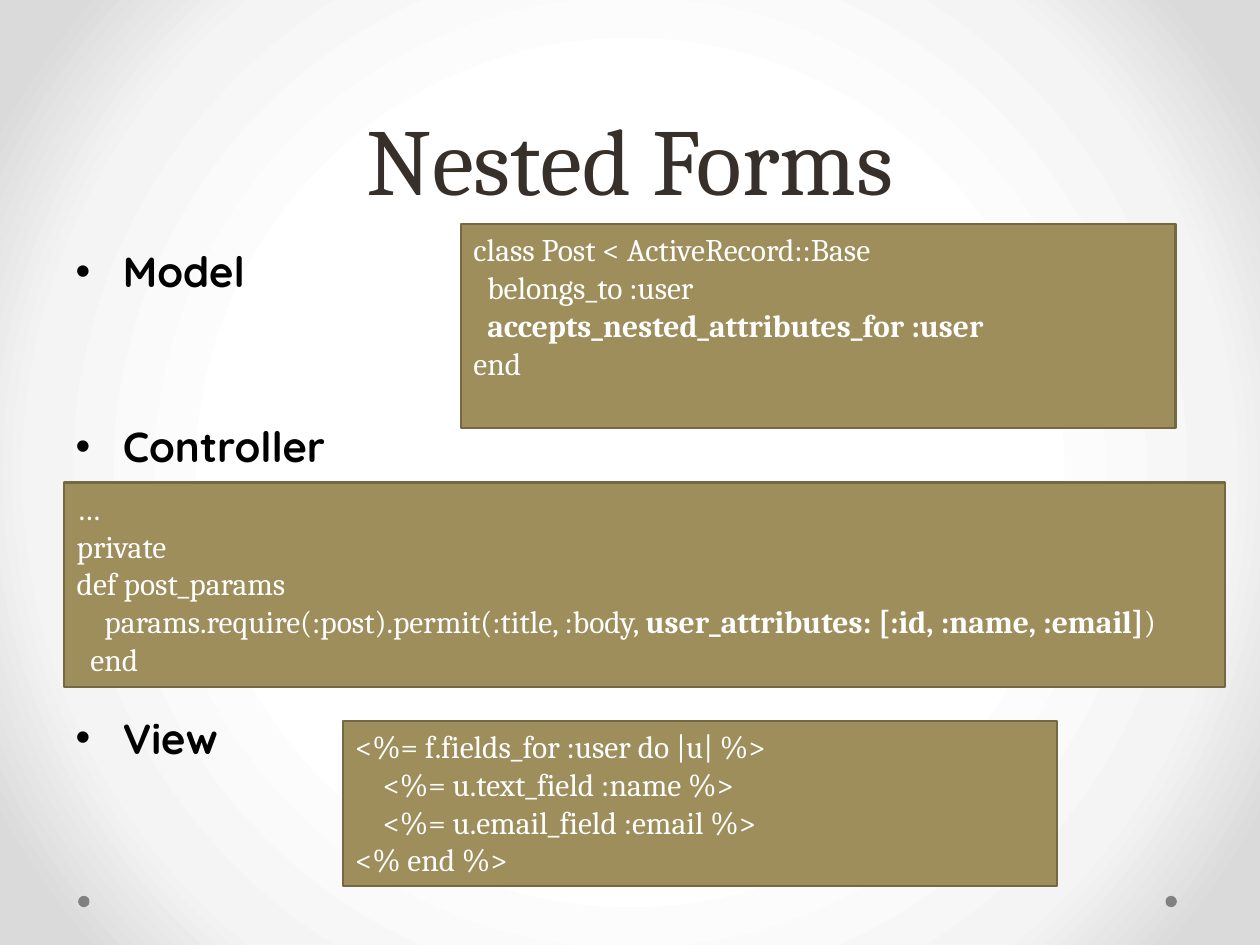
from dataclasses import dataclass

import lxml.etree
import pptx
import pptx.dml.color
import pptx.enum.shapes
import pptx.enum.text
import pptx.oxml.ns
import pptx.util

Inches = pptx.util.Inches
Pt = pptx.util.Pt
RGB = pptx.dml.color.RGBColor
Anchor = pptx.enum.text.MSO_ANCHOR
Align = pptx.enum.text.PP_ALIGN
Shape = pptx.enum.shapes.MSO_SHAPE
qn = pptx.oxml.ns.qn

WHITE = RGB(0xFF, 0xFF, 0xFF)
BLACK = RGB(0, 0, 0)
BROWN = RGB(0x37, 0x30, 0x2A)
OLIVE = RGB(0x9E, 0x8E, 0x5C)
EDGE = RGB(0x75, 0x69, 0x44)
GRAY = RGB(0x80, 0x80, 0x80)
GLOW = [(50, WHITE), (76, RGB(0xF4, 0xF4, 0xF4)), (92, RGB(0xDA, 0xDA, 0xDA))]

SERIF = "Cambria"
ROUND = "Quicksand"
STEP = 0.11  # width of one code indent


@dataclass
class Line:
    text: str
    depth: int = 0
    strong: str = ""  # bold part after the plain text
    tail: str = ""


@dataclass
class Code:
    left: float
    top: float
    width: float
    height: float
    lines: list[Line]


CODES = [
    Code(3.66, 1.78, 5.67, 1.62, [
        Line("class Post < ActiveRecord::Base"),
        Line("belongs_to :user", 1),
        Line("", 1, "accepts_nested_attributes_for :user"),
        Line("end"),
    ]),
    Code(0.51, 3.83, 9.21, 1.62, [
        Line("…"),
        Line("private"),
        Line("def post_params"),
        Line("params.require(:post).permit(:title, :body, ", 2,
             "user_attributes: [:id, :name, :email]", ")"),
        Line("end", 1),
    ]),
    Code(2.72, 5.72, 5.67, 1.31, [
        Line("<%= f.fields_for :user do |u| %>"),
        Line("<%= u.text_field :name %>", 2),
        Line("<%= u.email_field :email %>", 2),
        Line("<% end %>"),
    ]),
]

# List item and the space above it in points
ITEMS = [("Model", 0), ("Controller", 71), ("View", 138)]


def write(par, text: str, *, font: str, size: float, color, bold: bool = False) -> None:
    run = par.add_run()
    run.text = text
    run.font.name = font
    run.font.size = Pt(size)
    run.font.bold = bold
    run.font.color.rgb = color


def next_par(frame, index: int):
    return frame.add_paragraph() if index else frame.paragraphs[0]


def place(item, left: float, top: float, width: float, height: float) -> None:
    item.left, item.top = Inches(left), Inches(top)
    item.width, item.height = Inches(width), Inches(height)


def add_form(slide, kind, left: float, top: float, width: float, height: float, color):
    form = slide.shapes.add_shape(
        kind, Inches(left), Inches(top), Inches(width), Inches(height))
    form.shadow.inherit = False
    form.fill.solid()
    form.fill.fore_color.rgb = color
    return form


def add_code(slide, code: Code) -> None:
    box = add_form(slide, Shape.RECTANGLE, code.left, code.top,
                   code.width, code.height, OLIVE)
    box.line.color.rgb = EDGE
    box.line.width = Pt(1.25)
    frame = box.text_frame
    frame.word_wrap = True
    frame.vertical_anchor = Anchor.TOP
    for index, line in enumerate(code.lines):
        par = next_par(frame, index)
        par.alignment = Align.LEFT
        if line.depth:
            par._p.get_or_add_pPr().set("marL", str(Inches(STEP * line.depth)))
        for text, bold in ((line.text, False), (line.strong, True), (line.tail, False)):
            if text:
                write(par, text, font=SERIF, size=18, color=WHITE, bold=bold)


def add_glow(slide) -> None:
    fill = slide.background.fill
    fill.gradient()
    grad = slide._element.find(".//" + qn("a:gradFill"))
    for child in list(grad):
        grad.remove(child)
    sub = lxml.etree.SubElement
    stops = sub(grad, qn("a:gsLst"))
    for spot, color in GLOW:
        stop = sub(stops, qn("a:gs"), {"pos": str(spot * 1000)})
        sub(stop, qn("a:srgbClr"), {"val": str(color)})
    ring = sub(grad, qn("a:path"), {"path": "circle"})
    sub(ring, qn("a:fillToRect"), {side: "50000" for side in "ltrb"})


def main() -> None:
    deck = pptx.Presentation()
    deck.slide_width, deck.slide_height = Inches(10), Inches(7.5)
    slide = deck.slides.add_slide(deck.slide_layouts[1])
    add_glow(slide)

    # Title
    title = slide.shapes.title
    place(title, 0.5, 0, 9, 1.75)
    title.text_frame.auto_size = pptx.enum.text.MSO_AUTO_SIZE.NONE
    title.text_frame.vertical_anchor = Anchor.BOTTOM
    head = title.text_frame.paragraphs[0]
    head.alignment = Align.CENTER
    head.line_spacing = Pt(58)
    write(head, "Nested Forms", font=SERIF, size=54, color=BROWN)

    # Bullet list
    body = slide.placeholders[1]
    place(body, 0.5, 1.75, 9, 4.95)
    frame = body.text_frame
    frame.auto_size = pptx.enum.text.MSO_AUTO_SIZE.NONE
    frame.vertical_anchor = Anchor.TOP
    frame.margin_top = Inches(0.2)
    for index, (text, space) in enumerate(ITEMS):
        par = next_par(frame, index)
        par.space_before = Pt(space)
        write(par, text, font=ROUND, size=24, color=BLACK, bold=True)

    # Code boxes
    for code in CODES:
        add_code(slide, code)

    # Corner dots
    for left in (0.62, 9.25):
        dot = add_form(slide, Shape.OVAL, left, 7.11, 0.09, 0.09, GRAY)
        dot.line.fill.background()

    deck.save("out.pptx")


if __name__ == "__main__":
    main()
